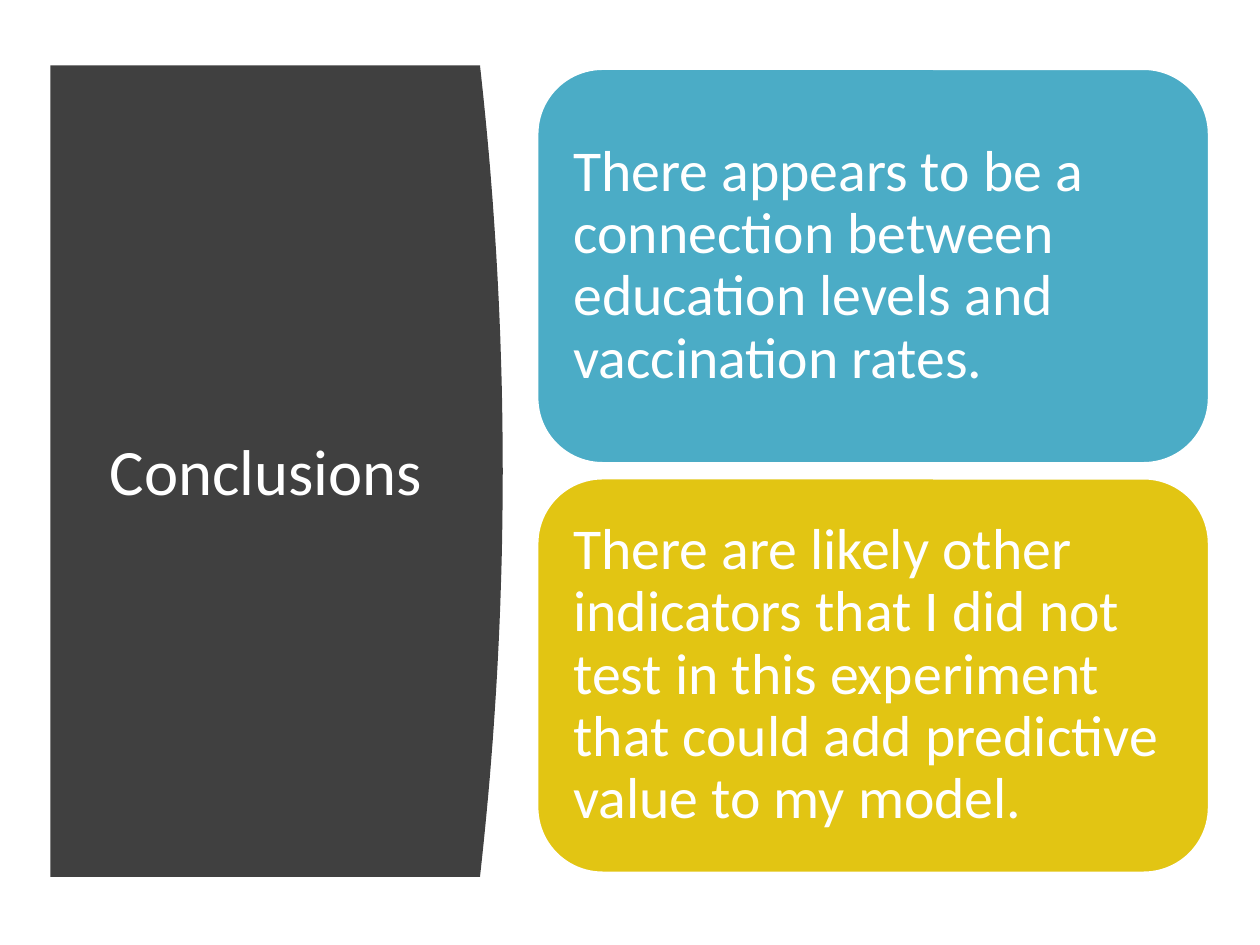
import pptx
import pptx.dml.color
import pptx.enum.shapes
import pptx.enum.text
import pptx.util

Pt = pptx.util.Pt
FONT = "Calibri"
WHITE = "FFFFFF"
CURVE_STEPS = 48
CARDS = [
    ("There appears to be a connection between education levels "
     "and vaccination rates.", "4BACC6"),
    ("There are likely other indicators that I did not test in this experiment "
     "that could add predictive value to my model.", "E2C513"),
]


def color(hex_value):
    return pptx.dml.color.RGBColor.from_string(hex_value)


def fill_shape(shape, hex_value):
    shape.shadow.inherit = False
    shape.fill.solid()
    shape.fill.fore_color.rgb = color(hex_value)


def add_text(page, left, top, width, height, text, size):
    """Place white, vertically centred text and return its box."""
    box = page.shapes.add_textbox(Pt(left), Pt(top), Pt(width), Pt(height))
    frame = box.text_frame
    frame.word_wrap = True
    frame.vertical_anchor = pptx.enum.text.MSO_ANCHOR.MIDDLE
    frame.text = text
    font = frame.paragraphs[0].runs[0].font
    font.name, font.size = FONT, Pt(size)
    font.color.rgb = color(WHITE)
    return box


def add_title_panel(page, left, top, width, height, title):
    # Dark panel whose right side bulges as a parabola
    bulge = 13
    edge = left + width - bulge
    points = [(left, top)]
    for step in range(CURVE_STEPS + 1):
        part = step / CURVE_STEPS
        points.append((edge + 4 * bulge * part * (1 - part), top + height * part))
    points.append((left, top + height))
    start, *others = [(Pt(x), Pt(y)) for x, y in points]
    builder = page.shapes.build_freeform(*start, scale=1.0)
    builder.add_line_segments(others, close=True)
    panel = builder.convert_to_shape()
    fill_shape(panel, "404040")
    panel.line.fill.background()

    # Title
    box = add_text(page, left + 22.3, top + 42.5, 201.6, 377.3, title, 37)
    box.text_frame.paragraphs[0].alignment = pptx.enum.text.PP_ALIGN.CENTER


def add_card(page, left, top, width, height, text, hex_value):
    # Rounded background
    card = page.shapes.add_shape(
        pptx.enum.shapes.MSO_SHAPE.ROUNDED_RECTANGLE,
        Pt(left), Pt(top), Pt(width), Pt(height))
    fill_shape(card, hex_value)
    card.line.color.rgb = color(WHITE)
    card.line.width = Pt(2)

    # Statement, kept clear of the rounded corners
    inset = 11
    box = add_text(page, left + inset, top + inset,
                   width - 2 * inset, height - 2 * inset, text, 33)
    frame = box.text_frame
    frame.margin_left = frame.margin_right = Pt(10)
    frame.margin_top = frame.margin_bottom = Pt(10)
    frame.paragraphs[0].line_spacing = 0.9


def add_card_column(page, left, top, width, height, cards):
    gap = 8
    card_height = (height - gap * (len(cards) - 1)) / len(cards)
    for index, (text, hex_value) in enumerate(cards):
        add_card(page, left, top + index * (card_height + gap),
                 width, card_height, text, hex_value)


def main():
    deck = pptx.Presentation()
    deck.slide_width, deck.slide_height = Pt(720), Pt(540)
    page = deck.slides.add_slide(deck.slide_layouts[6])
    add_title_panel(page, 28.8, 37.4, 258.5, 463.7, "Conclusions")
    add_card_column(page, 306.7, 39, 384.5, 460, CARDS)
    deck.save("out.pptx")


if __name__ == "__main__":
    main()
